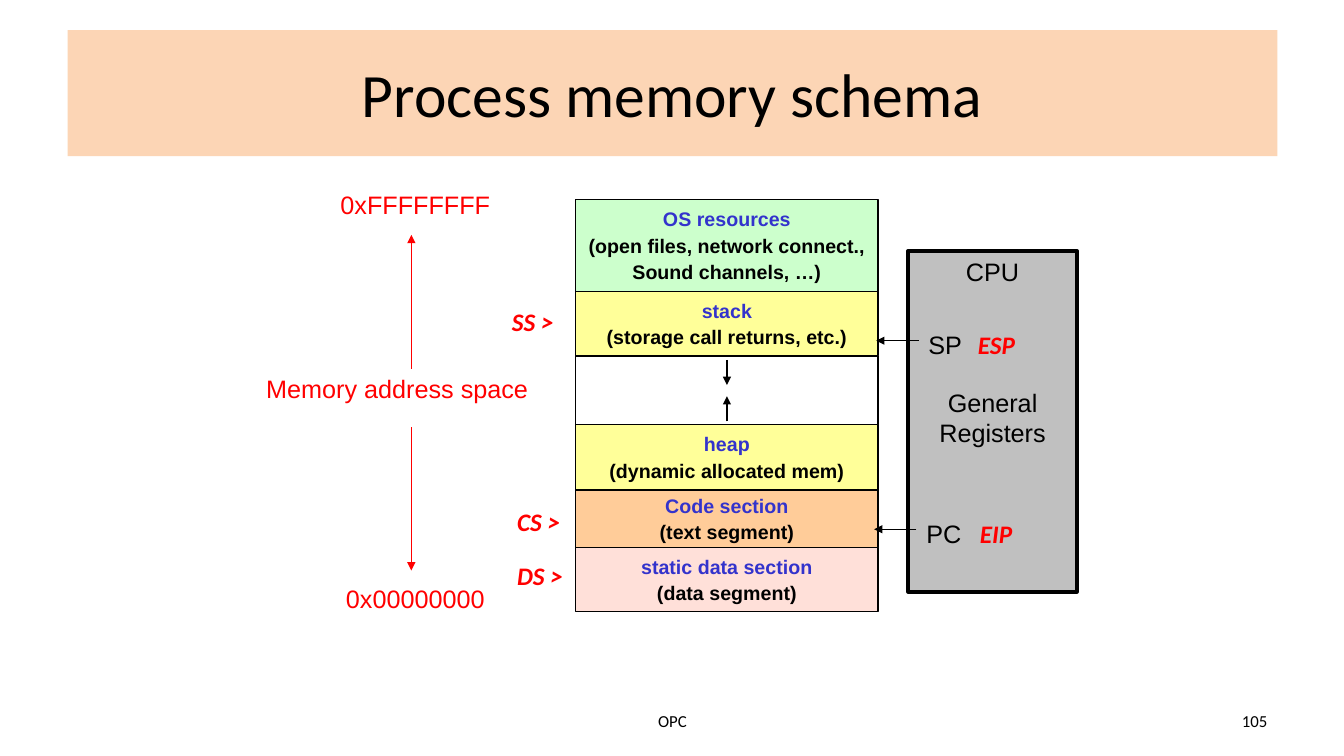
from lxml import etree
from pptx import Presentation
from pptx.dml.color import RGBColor
from pptx.enum.shapes import MSO_CONNECTOR, MSO_SHAPE
from pptx.enum.text import MSO_ANCHOR, PP_ALIGN
from pptx.oxml.ns import qn
from pptx.util import Inches, Pt

STRAIGHT = MSO_CONNECTOR.STRAIGHT
RECTANGLE = MSO_SHAPE.RECTANGLE
TOP, MIDDLE = MSO_ANCHOR.TOP, MSO_ANCHOR.MIDDLE
LEFT, CENTER, RIGHT = PP_ALIGN.LEFT, PP_ALIGN.CENTER, PP_ALIGN.RIGHT

BLACK, RED, BLUE = "000000", "FF0000", "3333CC"
LABEL_HEIGHT = 0.4
TITLE_FONT = {"name": "Calibri", "size": Pt(44)}
FOOTER_FONT = {"name": "Calibri", "size": Pt(12)}
LABEL_FONT = {"name": "Arial", "size": Pt(18)}
LAYER_FONT = {"name": "Arial", "size": Pt(14), "bold": True}
REGISTER_FONT = {"name": "Calibri", "size": Pt(18), "bold": True, "italic": True}

LAYERS = [
    (0.91, "CCFFCC", ["OS resources", "(open files, network connect.,", "Sound channels, …)"]),
    (0.64, "FFFF99", ["stack", "(storage call returns, etc.)"]),
    (0.68, "FFFFFF", []),
    (0.65, "FFFF99", ["heap", "(dynamic allocated mem)"]),
    (0.57, "FFCC99", ["Code section", "(text segment)"]),
    (0.64, "FFE0D9", ["static data section", "(data segment)"]),
]
ADDRESSES = [("0xFFFFFFFF", 0.04, 0), ("Memory address space", -0.14, 1.82),
             ("0x00000000", 0.04, 3.91)]
SEGMENTS = [("SS >", 0, 0), ("CS >", 0.05, 1.98), ("DS >", 0.05, 2.52)]
REGISTERS = [("SP", "ESP", 0.1, 0.59, 0.73), ("PC", "EIP", 0.08, 0.61, 2.6)]


def color(value):
    return RGBColor.from_string(value)


def place(shape, box):
    for side, length in zip(("left", "top", "width", "height"), box):
        setattr(shape, side, Inches(length))


def write(frame, lines, font, colors, align=CENTER, anchor=TOP, wrap=False, gap=2):
    frame.word_wrap = wrap
    frame.vertical_anchor = anchor
    for index, (line, ink) in enumerate(zip(lines, colors)):
        paragraph = frame.add_paragraph() if index else frame.paragraphs[0]
        paragraph.text = line
        paragraph.alignment = align
        if index:
            paragraph.space_before = Pt(gap)
        for key, value in font.items():
            setattr(paragraph.font, key, value)
        paragraph.font.color.rgb = color(ink)


def add_label(slide, box, text, font, ink, **options):
    label = slide.shapes.add_textbox(*map(Inches, box))
    write(label.text_frame, [text], font, [ink], **options)


def add_block(slide, box, fill, weight):
    block = slide.shapes.add_shape(RECTANGLE, *map(Inches, box))
    block.shadow.inherit = False
    block.fill.solid()
    block.fill.fore_color.rgb = color(fill)
    block.line.color.rgb = color(BLACK)
    block.line.width = Pt(weight)
    return block


def add_arrow(slide, start, tip, ink):
    arrow = slide.shapes.add_connector(STRAIGHT, *map(Inches, (*start, *tip)))
    arrow.line.color.rgb = color(ink)
    arrow.line.width = Pt(1)
    etree.SubElement(arrow.line._get_or_add_ln(), qn("a:tailEnd"), type="triangle")
    etree.SubElement(arrow._element.spPr, qn("a:effectLst"))


def fill_title(slide, box):
    title = slide.shapes.title
    place(title, box)
    title.fill.solid()
    title.fill.fore_color.rgb = color("FCD5B5")
    write(title.text_frame, ["Process memory schema"], TITLE_FONT, [BLACK],
          anchor=MIDDLE, wrap=True)


def draw_footer(slide, box):
    for text, align in (("OPC", CENTER), ("105", RIGHT)):
        add_label(slide, box, text, FOOTER_FONT, BLACK,
                  align=align, anchor=MIDDLE, wrap=True)


def draw_address_space(slide, box):
    left, top, width, _ = box
    middle = left + width / 2
    for text, shift, offset in ADDRESSES:
        add_label(slide, (left + shift, top + offset, width, LABEL_HEIGHT), text,
                  LABEL_FONT, RED, wrap=True)
    for start, tip in ((1.83, 0.5), (2.41, 3.83)):
        add_arrow(slide, (middle, top + start), (middle, top + tip), RED)


def draw_memory(slide, box):
    left, top, width, height = box
    unit = height / sum(rows for rows, _, _ in LAYERS)
    middle = left + width / 2
    for rows, fill, lines in LAYERS:
        depth = rows * unit
        layer = add_block(slide, (left, top, width, depth), fill, 1)
        if lines:
            write(layer.text_frame, lines, LAYER_FONT, [BLUE, BLACK, BLACK], anchor=MIDDLE)
        else:
            for start, tip in ((0.04, 0.29), (depth - 0.03, depth - 0.28)):
                add_arrow(slide, (middle, top + start), (middle, top + tip), BLACK)
        top += depth


def draw_segments(slide, box):
    left, top, width, _ = box
    for name, indent, offset in SEGMENTS:
        add_label(slide, (left + indent, top + offset, width, LABEL_HEIGHT), name,
                  REGISTER_FONT, RED, align=LEFT, wrap=True)


def draw_cpu(slide, box):
    left, top, _, _ = box
    cpu = add_block(slide, box, "C0C0C0", 3)
    write(cpu.text_frame, ["CPU", "General Registers"], LABEL_FONT, [BLACK, BLACK],
          wrap=True, gap=72)
    for name, alias, indent, alias_indent, offset in REGISTERS:
        row = top + offset
        pointer = row + 0.16
        add_arrow(slide, (left + indent, pointer), (left + indent - 0.42, pointer), BLACK)
        add_label(slide, (left + indent, row, 0.7, LABEL_HEIGHT), name, LABEL_FONT, BLACK,
                  align=LEFT, wrap=True)
        add_label(slide, (left + alias_indent, row, 0.7, LABEL_HEIGHT), alias,
                  REGISTER_FONT, RED, align=LEFT, wrap=True)


def main():
    deck = Presentation()
    deck.slide_width, deck.slide_height = Inches(13.33), Inches(7.5)
    slide = deck.slides.add_slide(deck.slide_layouts[5])
    fill_title(slide, (0.67, 0.3, 12, 1.25))
    draw_footer(slide, (0.67, 6.95, 12, 0.4))
    draw_address_space(slide, (2.53, 1.83, 3.1, 4.31))
    draw_memory(slide, (5.71, 1.98, 3, 4.09))
    draw_segments(slide, (4.98, 2.99, 0.8, 2.92))
    draw_cpu(slide, (9.01, 2.49, 1.67, 3.38))
    deck.save("out.pptx")


if __name__ == "__main__":
    main()
